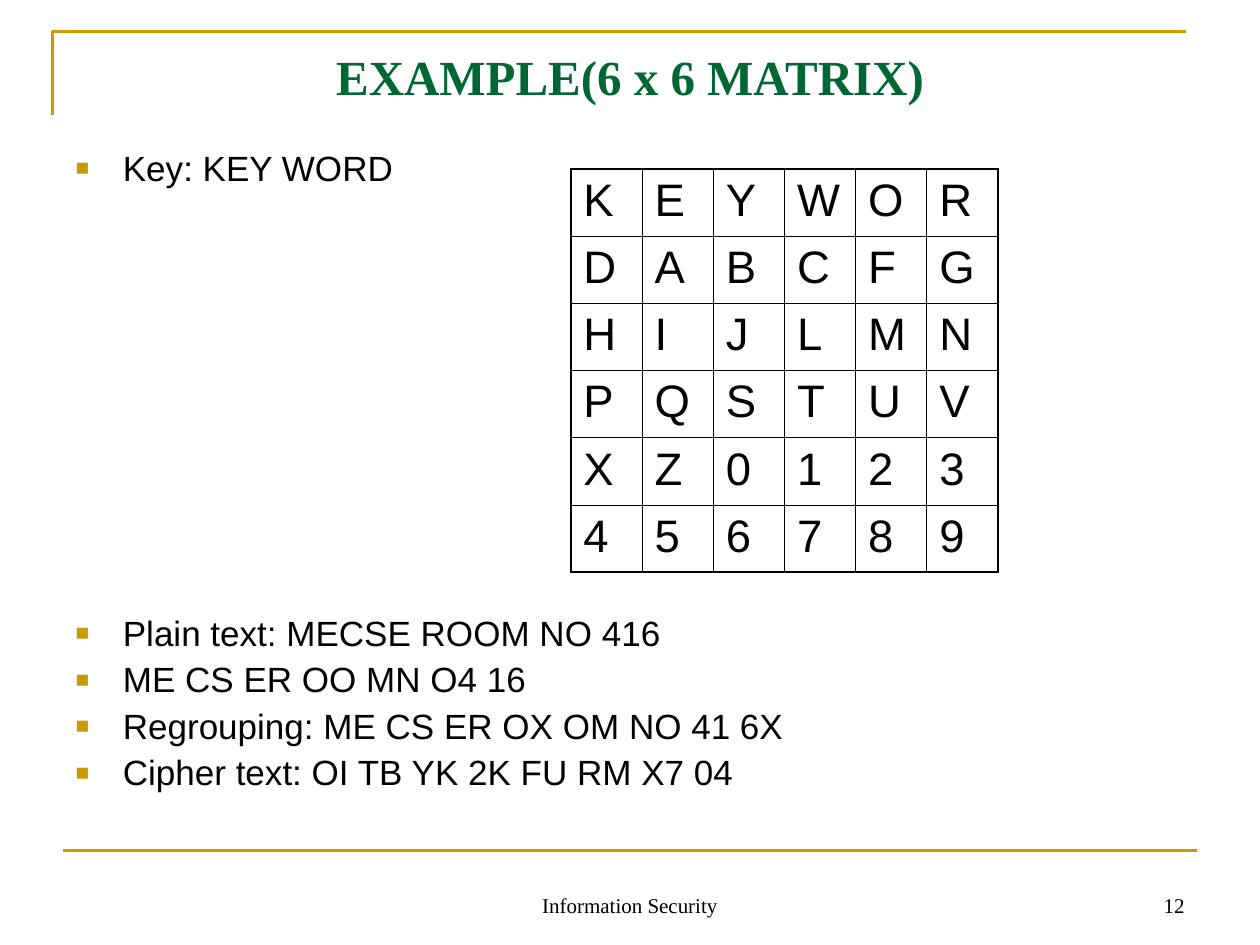
from dataclasses import dataclass

from lxml.etree import SubElement
from pptx import Presentation
from pptx.dml.color import RGBColor
from pptx.enum.shapes import MSO_CONNECTOR
from pptx.enum.text import MSO_ANCHOR, MSO_AUTO_SIZE, PP_ALIGN
from pptx.oxml.ns import qn
from pptx.util import Pt

GOLD = "CC9900"
GREEN = "006633"
BLACK = "000000"
SERIF = "Times New Roman"
SANS = "Arial"

MATRIX = ["KEYWOR", "DABCFG", "HIJLMN", "PQSTUV", "XZ0123", "456789"]
COLUMN_WIDTH = 40.68
ROW_HEIGHT = 38.4
OUTER_BORDER = 1.08
INNER_BORDER = 0.45


@dataclass
class Area:
    left: float
    top: float
    width: float
    height: float

    def lengths(self) -> tuple:
        return Pt(self.left), Pt(self.top), Pt(self.width), Pt(self.height)


@dataclass
class Item:
    text: str
    space_before: float = 5


@dataclass
class FooterField:
    text: str
    area: Area
    alignment: PP_ALIGN


ITEMS = [
    Item("Key: KEY WORD", 0),
    Item("Plain text: MECSE ROOM NO 416", 244),
    Item("ME CS ER OO MN O4 16"),
    Item("Regrouping: ME CS ER OX OM NO 41 6X"),
    Item("Cipher text: OI TB YK 2K FU RM X7 04"),
]

FOOTER_FIELDS = [
    FooterField("Information Security", Area(246, 492, 228, 36), PP_ALIGN.CENTER),
    FooterField("12", Area(516, 492, 168, 36), PP_ALIGN.RIGHT),
]


def color(value: str) -> RGBColor:
    return RGBColor.from_string(value)


def format_font(font, name: str, size: float, value: str, bold: bool = False) -> None:
    font.name = name
    font.size = Pt(size)
    font.bold = bold
    font.color.rgb = color(value)


def place(shape, area: Area) -> None:
    shape.left, shape.top, shape.width, shape.height = area.lengths()


def format_line(line) -> None:
    line.color.rgb = color(GOLD)
    line.width = Pt(1.5)


def add_frame_lines(page) -> None:
    builder = page.shapes.build_freeform(Pt(30), Pt(66), scale=1.0)
    builder.add_line_segments([(Pt(30), Pt(18)), (Pt(678), Pt(18))], close=False)
    corner = builder.convert_to_shape()
    corner.shadow.inherit = False
    corner.fill.background()
    format_line(corner.line)
    rule = page.shapes.add_connector(
        MSO_CONNECTOR.STRAIGHT, Pt(36), Pt(486), Pt(684), Pt(486)
    )
    format_line(rule.line)
    SubElement(rule._element.spPr, qn("a:effectLst"))


def add_footer_field(page, field: FooterField) -> None:
    box = page.shapes.add_textbox(*field.area.lengths())
    frame = box.text_frame
    frame.word_wrap = True
    frame.vertical_anchor = MSO_ANCHOR.BOTTOM
    frame.text = field.text
    para = frame.paragraphs[0]
    para.alignment = field.alignment
    format_font(para.runs[0].font, SERIF, 12, BLACK)


def fill_title(title) -> None:
    place(title, Area(36, 21.6, 648, 43.9))
    frame = title.text_frame
    frame.text = "EXAMPLE(6 x 6 MATRIX)"
    frame.auto_size = MSO_AUTO_SIZE.NONE
    frame.vertical_anchor = MSO_ANCHOR.MIDDLE
    para = frame.paragraphs[0]
    para.alignment = PP_ALIGN.CENTER
    format_font(para.runs[0].font, SERIF, 28, GREEN, bold=True)


def add_bullet(para) -> None:
    properties = para._p.get_or_add_pPr()
    properties.set("marL", str(Pt(27)))
    properties.set("indent", str(-Pt(27)))
    bullet_color = SubElement(properties, qn("a:buClr"))
    SubElement(bullet_color, qn("a:srgbClr"), val=GOLD)
    SubElement(properties, qn("a:buSzPct"), val="65000")
    SubElement(properties, qn("a:buFont"), typeface=SANS)
    SubElement(properties, qn("a:buChar"), char="■")


def fill_body(body, items: list[Item]) -> None:
    place(body, Area(36, 82.8, 647.3, 385.9))
    frame = body.text_frame
    frame.text = "\n".join(item.text for item in items)
    frame.auto_size = MSO_AUTO_SIZE.NONE
    for para, item in zip(frame.paragraphs, items):
        add_bullet(para)
        para.line_spacing = 0.9
        para.space_before = Pt(item.space_before)
        format_font(para.runs[0].font, SANS, 20, BLACK)


def add_border(cell, side: str, width: float) -> None:
    border = SubElement(
        cell._tc.get_or_add_tcPr(), qn(f"a:ln{side}"), w=str(Pt(width))
    )
    fill = SubElement(border, qn("a:solidFill"))
    SubElement(fill, qn("a:srgbClr"), val=BLACK)


def add_matrix(page, rows: list[str]) -> None:
    row_count, column_count = len(rows), len(rows[0])
    area = Area(326.2, 96.5, column_count * COLUMN_WIDTH, row_count * ROW_HEIGHT)
    table = page.shapes.add_table(row_count, column_count, *area.lengths()).table
    table.first_row = False
    table.horz_banding = False
    for column in table.columns:
        column.width = Pt(COLUMN_WIDTH)
    for row_index, letters in enumerate(rows):
        table.rows[row_index].height = Pt(ROW_HEIGHT)
        for column_index, letter in enumerate(letters):
            cell = table.cell(row_index, column_index)
            cell.text_frame.text = letter
            format_font(cell.text_frame.paragraphs[0].runs[0].font, SANS, 26, BLACK)
            outer_sides = {
                "L": column_index == 0,
                "R": column_index == column_count - 1,
                "T": row_index == 0,
                "B": row_index == row_count - 1,
            }
            for side, is_outer in outer_sides.items():
                add_border(cell, side, OUTER_BORDER if is_outer else INNER_BORDER)
            cell.fill.background()


def main() -> None:
    deck = Presentation()
    deck.slide_width, deck.slide_height = Pt(720), Pt(540)
    page = deck.slides.add_slide(deck.slide_layouts[1])
    add_frame_lines(page)
    for field in FOOTER_FIELDS:
        add_footer_field(page, field)
    fill_title(page.shapes.title)
    fill_body(page.placeholders[1], ITEMS)
    add_matrix(page, MATRIX)
    deck.save("out.pptx")


if __name__ == "__main__":
    main()
